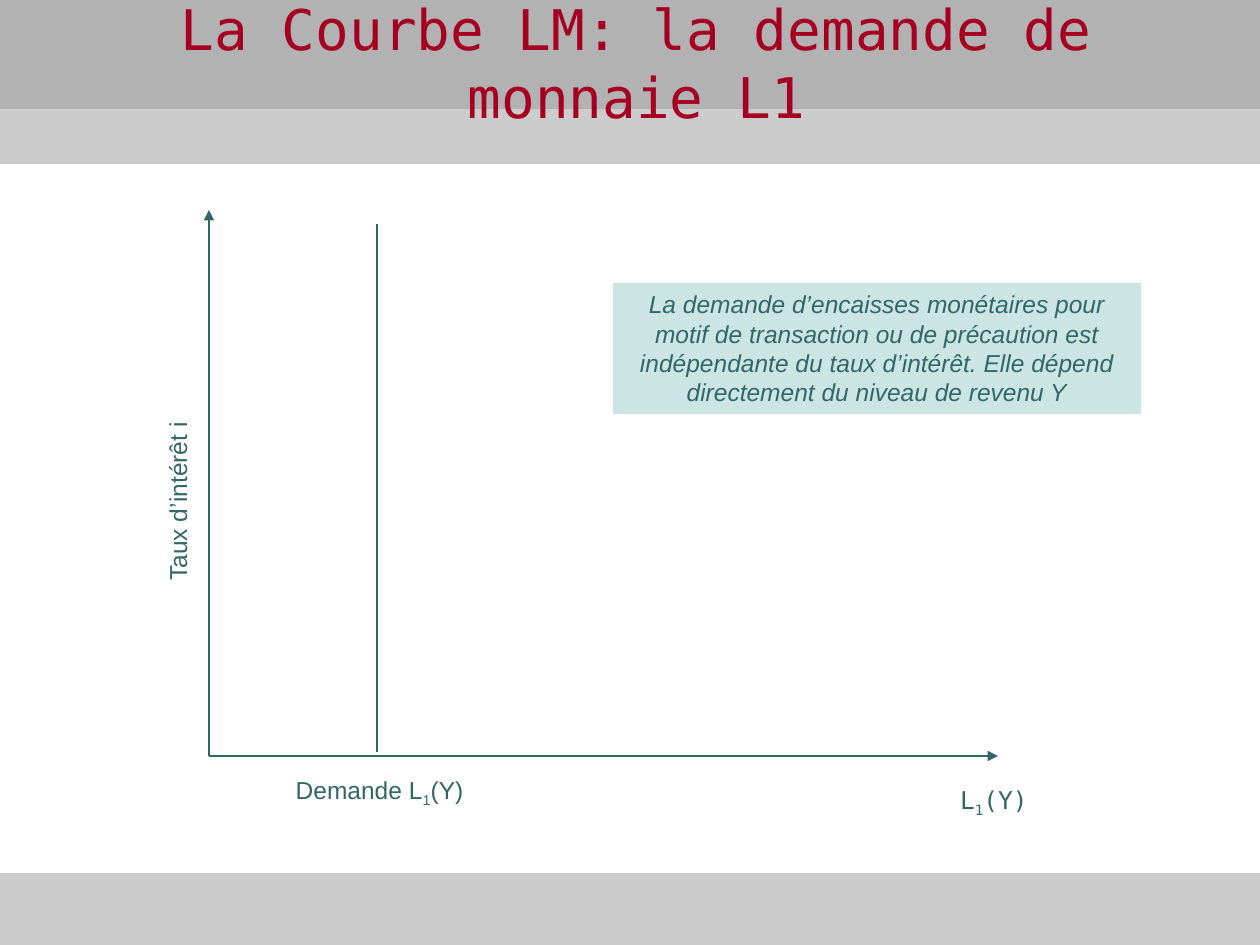
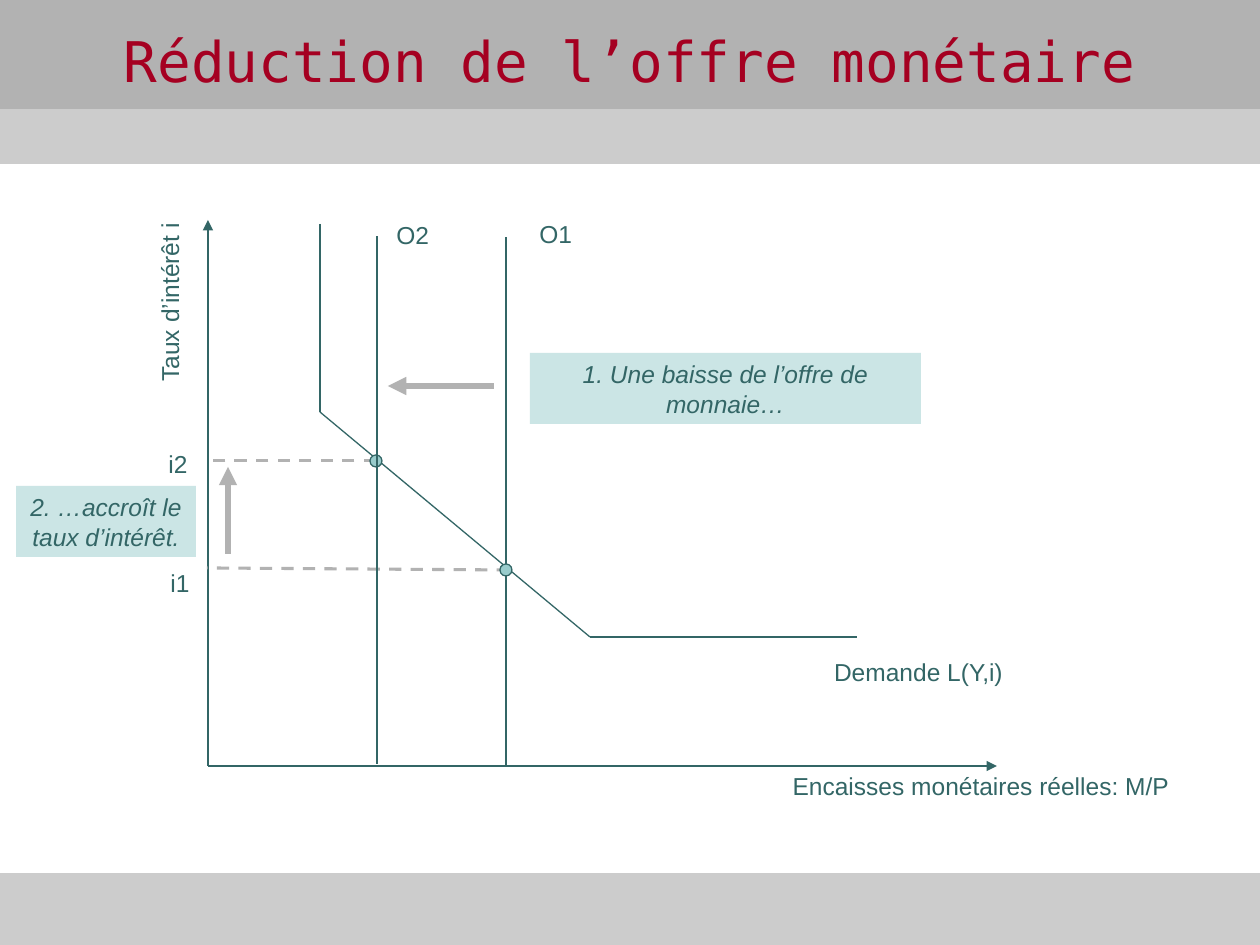
import pptx
import pptx.dml.color
import pptx.enum.dml
import pptx.enum.shapes
import pptx.enum.text
import pptx.oxml
import pptx.oxml.ns
import pptx.util

PX = 7257
TEAL = pptx.dml.color.RGBColor(0x33, 0x66, 0x66)
AQUA = pptx.dml.color.RGBColor(0x99, 0xCC, 0xCC)
RED = pptx.dml.color.RGBColor(0xA5, 0x00, 0x21)
GREY = pptx.dml.color.RGBColor(0xB2, 0xB2, 0xB2)
PALE = pptx.dml.color.RGBColor(0xCC, 0xCC, 0xCC)
MONO = "DejaVu Sans Mono"
CENTER = pptx.enum.text.PP_ALIGN.CENTER
LEFT = pptx.enum.text.PP_ALIGN.LEFT
TOP = pptx.enum.text.MSO_ANCHOR.TOP
MIDDLE = pptx.enum.text.MSO_ANCHOR.MIDDLE
SHAPE = pptx.enum.shapes.MSO_SHAPE
DASH = pptx.enum.dml.MSO_LINE.DASH


def write(page, text, left, top, width, height=43, size=14, font="Arial", color=TEAL,
          align=CENTER, anchor=TOP, italic=False, rotation=0, fill=None):
    box = page.shapes.add_textbox(left * PX, top * PX, width * PX, height * PX)
    box.rotation = rotation
    if fill is not None:
        box.fill.solid()
        box.fill.fore_color.rgb = fill
        tint = box._element.spPr.find(".//" + pptx.oxml.ns.qn("a:srgbClr"))
        tint.append(pptx.oxml.parse_xml(
            f'<a:alpha {pptx.oxml.ns.nsdecls("a")} val="50000"/>'))
    frame = box.text_frame
    frame.word_wrap = True
    frame.vertical_anchor = anchor
    para = frame.paragraphs[0]
    para.alignment = align
    for index, part in enumerate(text.split("|")):
        span = para.add_run()
        span.text = part
        span.font.size = pptx.util.Pt(size)
        span.font.name = font
        span.font.color.rgb = color
        span.font.italic = italic
        if index % 2:
            span._r.get_or_add_rPr().set("baseline", "-25000")


def draw_line(page, start, end, color=TEAL, weight=0.75, dash=None, arrow=False):
    line = page.shapes.add_connector(
        pptx.enum.shapes.MSO_CONNECTOR.STRAIGHT, *[value * PX for value in (*start, *end)])
    line.line.color.rgb = color
    line.line.width = pptx.util.Pt(weight)
    if dash:
        line.line.dash_style = dash
    namespace = pptx.oxml.ns.nsdecls("a")
    if arrow:
        line.line._get_or_add_ln().append(
            pptx.oxml.parse_xml(f'<a:tailEnd {namespace} type="triangle"/>'))
    line._element.spPr.append(pptx.oxml.parse_xml(f"<a:effectLst {namespace}/>"))


deck = pptx.Presentation()
deck.slide_width = 1260 * PX
deck.slide_height = 945 * PX

pages = []
for origin_x, origin_y in [(209, 756), (208, 766)]:
    page = deck.slides.add_slide(deck.slide_layouts[6])
    for top, height, color in [(76, 87, PALE), (0, 108, GREY), (874, 71, PALE)]:
        band = page.shapes.add_shape(SHAPE.RECTANGLE, 0, top * PX, 1260 * PX, height * PX)
        band.shadow.inherit = False
        band.fill.solid()
        band.fill.fore_color.rgb = color
        band.line.color.rgb = color
        band.line.width = pptx.util.Pt(0.75)
    for end in [(origin_x, origin_y - 546), (origin_x + 789, origin_y)]:
        draw_line(page, (origin_x, origin_y), end, arrow=True)
    pages.append(page)
demand_page, supply_page = pages

write(demand_page, "La Courbe LM: la demande de monnaie L1", 42, 26, 1189, 72,
      size=32, font=MONO, color=RED, anchor=MIDDLE)
draw_line(demand_page, (377, 752), (377, 224))
write(demand_page, "Taux d’intérêt i", 55, 480, 246, rotation=270)
write(demand_page, "Demande L|1|(Y)", 276, 769, 207, 47)
write(demand_page, "L|1|(Y)", 935, 779, 118, 47, font=MONO)
write(demand_page, "La demande d’encaisses monétaires pour motif de transaction ou de précaution "
      "est indépendante du taux d’intérêt. Elle dépend directement du niveau de revenu Y",
      613, 283, 528, 131, italic=True, fill=AQUA)

write(supply_page, "Réduction de l’offre monétaire", 0, 0, 1260, 121,
      size=32, font=MONO, color=RED, anchor=MIDDLE)
draw_line(supply_page, (506, 765), (506, 237))
for start, end in [((509, 570), (207, 568)), ((376, 461), (206, 461))]:
    draw_line(supply_page, start, end, color=GREY, weight=1.75, dash=DASH)
demand_points = [(320, 224), (320, 412), (590, 637), (857, 637)]
for start, end in zip(demand_points, demand_points[1:]):
    draw_line(supply_page, start, end)
for center_x, center_y in [(506, 570), (376, 461)]:
    dot = supply_page.shapes.add_shape(
        SHAPE.OVAL, (center_x - 6) * PX, (center_y - 6) * PX, 12 * PX, 12 * PX)
    dot.shadow.inherit = False
    dot.fill.solid()
    dot.fill.fore_color.rgb = AQUA
    dot.line.color.rgb = TEAL
    dot.line.width = pptx.util.Pt(0.75)
draw_line(supply_page, (377, 764), (377, 236))
for start, end in [((228, 554), (228, 467)), ((494, 386), (388, 386))]:
    draw_line(supply_page, start, end, color=GREY, weight=3.5, arrow=True)

write(supply_page, "Taux d’intérêt i", 47, 281, 246, rotation=270)
for text, left, top, width, align in [
    ("Demande L(Y,i)", 815, 651, 207, CENTER),
    ("Encaisses monétaires réelles: M/P", 768, 765, 426, CENTER),
    ("O1", 527, 213, 60, LEFT),
    ("O2", 384, 214, 60, LEFT),
    ("i1", 146, 562, 68, CENTER),
    ("i2", 144, 443, 68, CENTER),
]:
    write(supply_page, text, left, top, width, align=align)
for text, left, top, width in [
    ("1. Une baisse de l’offre de monnaie…", 530, 353, 391),
    ("2. …accroît le taux d’intérêt.", 16, 486, 180),
]:
    write(supply_page, text, left, top, width, 71, italic=True, fill=AQUA)

deck.save("out.pptx")
